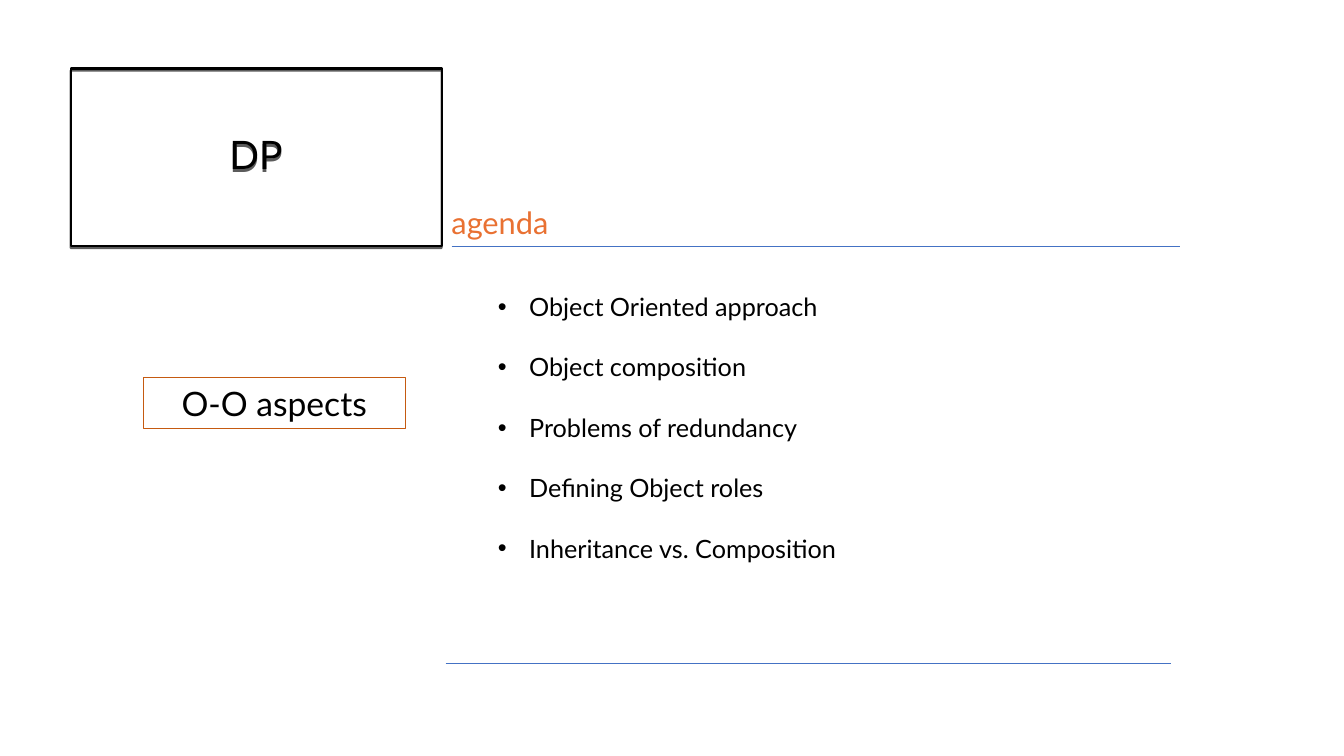
from dataclasses import dataclass

import pptx
import pptx.dml.color
import pptx.enum.shapes
import pptx.enum.text
import pptx.oxml
import pptx.oxml.ns
import pptx.util

PX = 9144  # EMU per px, 100 px to the inch
COLORS = {"ink": "000000", "rule": "4472C4", "frame": "C55A11", "accent": "E97132"}
FONT = "Lato"
DRAWING_NS = pptx.oxml.ns.nsdecls("a")
ALIGN = pptx.enum.text.PP_ALIGN
ANCHOR = pptx.enum.text.MSO_ANCHOR


@dataclass(frozen=True)
class Block:
    lines: tuple[str, ...]
    box: tuple[int, int, int, int]
    size: int
    color: str = "ink"
    border: str = ""
    border_width: float = 0
    align: ALIGN = ALIGN.LEFT
    anchor: ANCHOR = ANCHOR.TOP
    line_spacing: float = 1.0
    space_after: float = 0
    bulleted: bool = False
    shadowed: bool = False


@dataclass(frozen=True)
class Rule:
    left: int
    right: int
    y: int


TITLE = Block(("DP",), (70, 68, 368, 176), 28, border="ink", border_width=1.5,
              align=ALIGN.CENTER, anchor=ANCHOR.MIDDLE, line_spacing=0.9, shadowed=True)
TOPIC = Block(("O-O aspects",), (142, 375, 260, 50), 24, border="frame",
              border_width=0.75, align=ALIGN.CENTER)
HEADING = Block(("agenda",), (438, 197, 667, 47), 22, color="accent")
AGENDA = Block(
    ("Object Oriented approach", "Object composition", "Problems of redundancy",
     "Defining Object roles", "Inheritance vs. Composition"),
    (484, 284, 527, 283), 18, space_after=21.6, bulleted=True)
RULES = (Rule(448, 1170, 244), Rule(442, 1161, 658))


def rgb(name: str) -> pptx.dml.color.RGBColor:
    return pptx.dml.color.RGBColor.from_string(COLORS[name])


def apply(target: object, formats: dict[str, object]) -> None:
    for attribute, value in formats.items():
        setattr(target, attribute, value)


def add_bullet(paragraph) -> None:
    properties = paragraph._p.get_or_add_pPr()
    properties.set("marL", str(31 * PX))
    properties.set("indent", str(-31 * PX))
    for tag in ('buFont {} typeface="Arial"', 'buChar {} char="•"'):
        properties.append(pptx.oxml.parse_xml(f"<a:{tag.format(DRAWING_NS)}/>"))


def add_drop_shadow(shape) -> None:
    shape._element.spPr.find(pptx.oxml.ns.qn("a:effectLst")).append(pptx.oxml.parse_xml(
        f'<a:outerShdw {DRAWING_NS} blurRad="0" dist="19050" dir="5400000" rotWithShape="0">'
        f'<a:srgbClr val="{COLORS["ink"]}"><a:alpha val="63000"/></a:srgbClr></a:outerShdw>'))


def draw_block(slide, block: Block) -> None:
    left, top, width, height = (value * PX for value in block.box)
    if block.border:
        shape = slide.shapes.add_shape(
            pptx.enum.shapes.MSO_SHAPE.RECTANGLE, left, top, width, height)
        shape.shadow.inherit = False
        shape.fill.background()
        shape.line.color.rgb = rgb(block.border)
        shape.line.width = pptx.util.Pt(block.border_width)
    else:
        shape = slide.shapes.add_textbox(left, top, width, height)
    if block.shadowed:
        add_drop_shadow(shape)

    frame = shape.text_frame
    apply(frame, {"word_wrap": True, "vertical_anchor": block.anchor,
                  "text": "\n".join(block.lines)})
    for paragraph in frame.paragraphs:
        apply(paragraph, {"alignment": block.align, "line_spacing": block.line_spacing,
                          "space_after": pptx.util.Pt(block.space_after)})
        apply(paragraph.runs[0].font, {"name": FONT, "size": pptx.util.Pt(block.size)})
        paragraph.runs[0].font.color.rgb = rgb(block.color)
        if block.bulleted:
            add_bullet(paragraph)


def draw_rule(slide, rule: Rule) -> None:
    connector = slide.shapes.add_connector(
        pptx.enum.shapes.MSO_CONNECTOR.STRAIGHT,
        rule.left * PX, rule.y * PX, rule.right * PX, rule.y * PX)
    connector.line.color.rgb = rgb("rule")
    connector.line.width = pptx.util.Pt(0.5)
    connector._element.spPr.append(pptx.oxml.parse_xml(f"<a:effectLst {DRAWING_NS}/>"))


def main() -> None:
    deck = pptx.Presentation()
    apply(deck, {"slide_width": 1333 * PX, "slide_height": 750 * PX})
    slide = deck.slides.add_slide(deck.slide_layouts[6])

    # Title and rules around the agenda
    draw_block(slide, TITLE)
    for rule in RULES:
        draw_rule(slide, rule)

    # Topic, heading and agenda points
    for block in (TOPIC, HEADING, AGENDA):
        draw_block(slide, block)

    deck.save("out.pptx")


if __name__ == "__main__":
    main()
